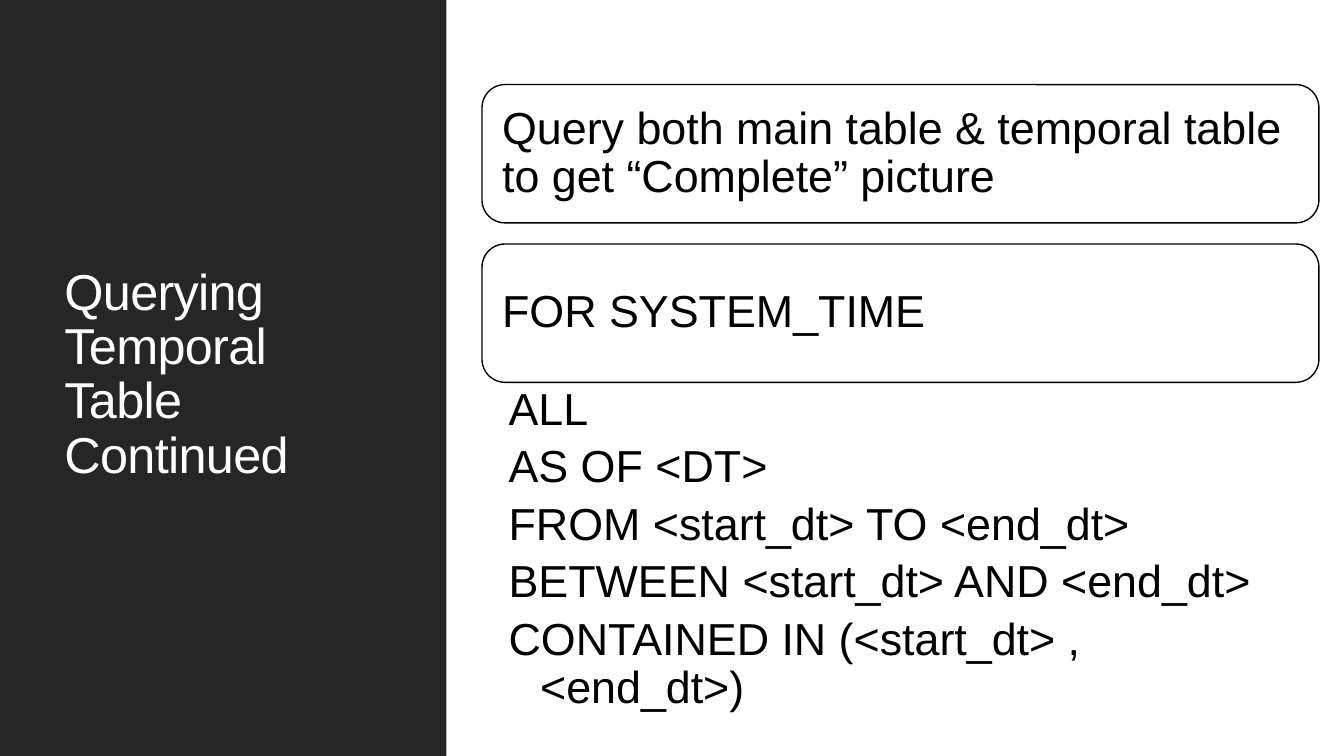
from pptx import Presentation
from pptx.dml.color import RGBColor
from pptx.enum import shapes, text
from pptx.util import Pt

COLOURS = {"panel": "262626", "title": "FFFFFF", "ink": "000000"}
FONT = "Arial"
BODY_SIZE = 32

# Right-hand column, in points
COLUMN_LEFT, COLUMN_WIDTH = 344.3, 597.8
CARD_TOP, CARD_HEIGHT, CARD_PITCH = 60.4, 98.8, 113.9
CARD_INSET = 4.8

CARDS = [
    "Query both main table & temporal table to get “Complete” picture",
    "FOR SYSTEM_TIME",
]
CLAUSES = [
    "ALL",
    "AS OF <DT>",
    "FROM <start_dt> TO <end_dt>",
    "BETWEEN <start_dt> AND <end_dt>",
    "CONTAINED IN (<start_dt> , <end_dt>)",
]


def colour(name):
    return RGBColor.from_string(COLOURS[name])


def add_panel(slide, left, top, width, height):
    panel = slide.shapes.add_shape(
        shapes.MSO_SHAPE.RECTANGLE, Pt(left), Pt(top), Pt(width), Pt(height))
    panel.shadow.inherit = False
    panel.fill.solid()
    panel.fill.fore_color.rgb = colour("panel")
    panel.line.fill.background()


def add_text(slide, box, lines, size, ink, insets, anchor, after=0,
             hanging=0, tracking=0):
    """Place one paragraph per line in a wrapping text box."""
    frame = slide.shapes.add_textbox(*map(Pt, box)).text_frame
    frame.word_wrap = True
    frame.vertical_anchor = anchor
    frame.margin_left, frame.margin_top, frame.margin_right, frame.margin_bottom = map(Pt, insets)
    for number, line in enumerate(lines):
        paragraph = frame.add_paragraph() if number else frame.paragraphs[0]
        paragraph.line_spacing = 0.9
        paragraph.space_after = Pt(after)
        if hanging:
            properties = paragraph._p.get_or_add_pPr()
            properties.set("marL", str(Pt(hanging)))
            properties.set("indent", str(-Pt(hanging)))
        run = paragraph.add_run()
        run.text = line
        run.font.name = FONT
        run.font.size = Pt(size)
        run.font.color.rgb = colour(ink)
        if tracking:
            run._r.get_or_add_rPr().set("spc", str(round(tracking * 100)))


def add_card(slide, top, caption):
    outline = slide.shapes.add_shape(
        shapes.MSO_SHAPE.ROUNDED_RECTANGLE,
        Pt(COLUMN_LEFT), Pt(top), Pt(COLUMN_WIDTH), Pt(CARD_HEIGHT))
    outline.shadow.inherit = False
    outline.fill.background()
    outline.line.color.rgb = colour("ink")
    outline.line.width = Pt(1)
    box = (COLUMN_LEFT + CARD_INSET, top + CARD_INSET,
           COLUMN_WIDTH - 2 * CARD_INSET, CARD_HEIGHT - 2 * CARD_INSET)
    add_text(slide, box, [caption], BODY_SIZE, "ink", (9.6,) * 4,
             text.MSO_ANCHOR.MIDDLE, after=0.35 * BODY_SIZE)


def main():
    deck = Presentation()
    deck.slide_width, deck.slide_height = Pt(960), Pt(540)
    slide = deck.slides.add_slide(deck.slide_layouts[6])

    # Dark title panel
    add_panel(slide, 0, 0, 318.8, 540)
    add_text(slide, (39, 41, 242.6, 454.3), ["Querying Temporal Table Continued"],
             36, "title", (7.2, 3.6, 7.2, 3.6), text.MSO_ANCHOR.MIDDLE, tracking=-0.5)

    # Outlined cards
    for row, caption in enumerate(CARDS):
        add_card(slide, CARD_TOP + row * CARD_PITCH, caption)

    # SYSTEM_TIME clauses, directly below the last card
    clauses_top = CARD_TOP + (len(CARDS) - 1) * CARD_PITCH + CARD_HEIGHT
    add_text(slide, (COLUMN_LEFT, clauses_top, COLUMN_WIDTH, 211.7), CLAUSES,
             BODY_SIZE, "ink", (19, 3.2, 17.9, 3.2), text.MSO_ANCHOR.TOP,
             after=0.2 * BODY_SIZE, hanging=22.5)

    deck.save("out.pptx")


if __name__ == "__main__":
    main()
